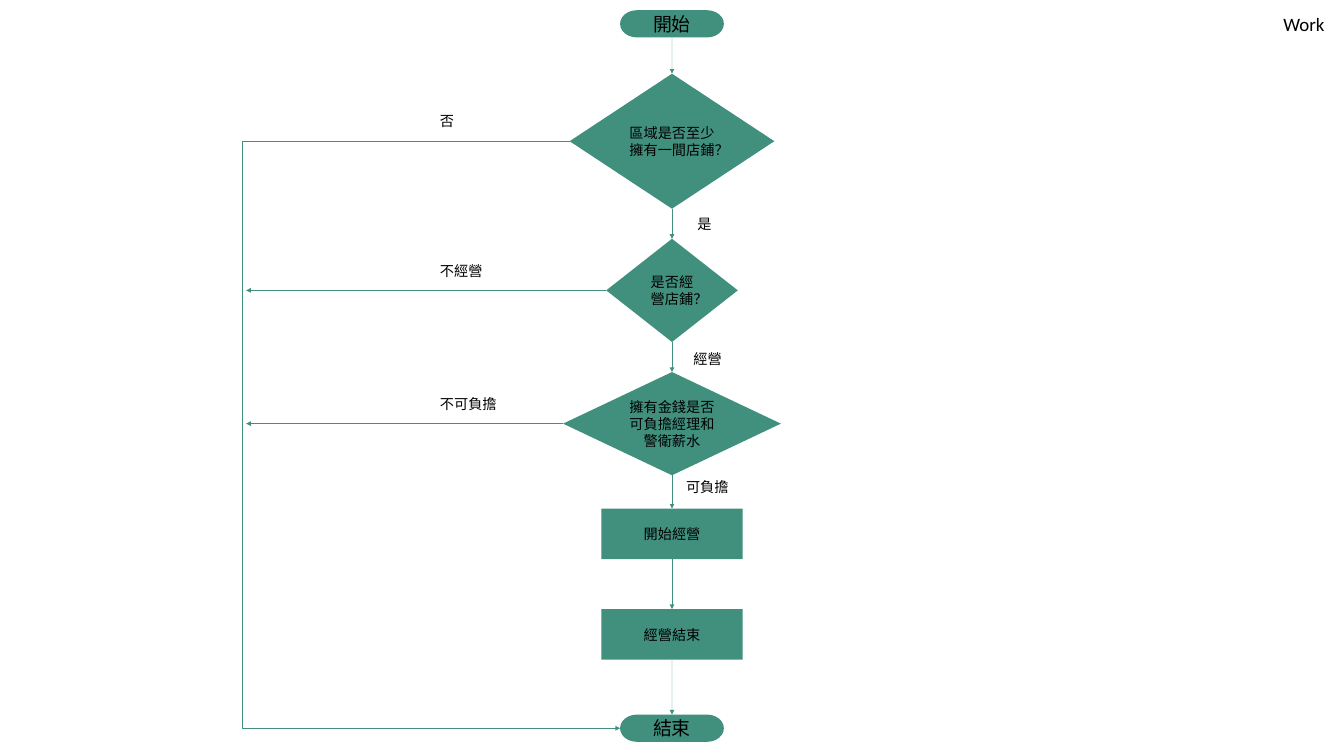
import pptx
import pptx.util
import pptx.dml.color
import pptx.enum.shapes
import pptx.enum.text
import pptx.oxml.ns
import lxml.etree

Inches = pptx.util.Inches
Pt = pptx.util.Pt
RGBColor = pptx.dml.color.RGBColor
SHAPE = pptx.enum.shapes.MSO_SHAPE
CONNECTOR = pptx.enum.shapes.MSO_CONNECTOR
ALIGN = pptx.enum.text.PP_ALIGN
ANCHOR = pptx.enum.text.MSO_ANCHOR
AUTO = pptx.enum.text.MSO_AUTO_SIZE
qn = pptx.oxml.ns.qn

GREEN = RGBColor(0x41, 0x90, 0x7E)
BLACK = RGBColor(0, 0, 0)
CJK_FONT = "Noto Sans CJK SC"
TOP, LEFT, BOTTOM = 0, 1, 2

SLIDE_SIZE = (23.7, 13.33)
CENTER_X = 11.85
RETURN_X = 4.27
ARROW_STOP_X = 4.34

TITLE = ("Work", 22.53, 0.17, 0.93, 0.5)

TERMINATOR = {"kind": SHAPE.FLOWCHART_TERMINATOR, "size": 24, "insets": (0.06, 0.03)}
DECISION = {"kind": SHAPE.FLOWCHART_DECISION, "size": 18, "insets": (0.1, 0.05)}
PROCESS = {"kind": SHAPE.RECTANGLE, "size": 18, "insets": (0.1, 0.05)}

STEPS = [
    ("開始", TERMINATOR, 0.18, 1.83, 0.48),
    ("區域是否至少擁有一間店鋪？", DECISION, 1.3, 3.61, 2.38),
    ("是否經營店鋪？", DECISION, 4.21, 2.32, 1.82),
    ("擁有金錢是否可負擔經理和警衛薪水", DECISION, 6.56, 3.84, 1.82),
    ("開始經營", PROCESS, 8.97, 2.49, 0.89),
    ("經營結束", PROCESS, 10.74, 2.49, 0.89),
    ("結束", TERMINATOR, 12.6, 1.83, 0.48),
]

LABELS = [
    ("否", 7.66, 1.93, 0.45),
    ("不經營", 7.66, 4.58, 0.96),
    ("不可負擔", 7.66, 6.93, 1.21),
    ("是", 12.2, 3.74, 0.45),
    ("經營", 12.13, 6.13, 0.71),
    ("可負擔", 12, 8.38, 0.96),
]
LABEL_HEIGHT = 0.4


def apply(target, values):
    for name, value in values.items():
        setattr(target, name, value)


def write(shape, text, size, font, align, frame_format):
    frame = shape.text_frame
    apply(frame, frame_format)
    para = frame.paragraphs[0]
    para.alignment = align
    span = para.add_run()
    span.text = text
    apply(span.font, {"size": Pt(size), "name": font, "bold": False})
    span.font.color.rgb = BLACK
    east_asian = lxml.etree.SubElement(span.font._element, qn("a:ea"))
    east_asian.set("typeface", font)


def add_step(page, text, style, top, width, height):
    shape = page.shapes.add_shape(
        style["kind"], Inches(CENTER_X - width / 2), Inches(top), Inches(width), Inches(height))
    shape.shadow.inherit = False
    shape.fill.solid()
    shape.fill.fore_color.rgb = GREEN
    shape.line.fill.background()
    side, edge = (Inches(inset) for inset in style["insets"])
    write(shape, text, style["size"], CJK_FONT, ALIGN.CENTER, {
        "word_wrap": True, "vertical_anchor": ANCHOR.MIDDLE,
        "margin_left": side, "margin_right": side, "margin_top": edge, "margin_bottom": edge})
    return shape


def add_arrow(page, kind, source, source_side, target=None, target_side=None, stop=(0, 0)):
    arrow = page.shapes.add_connector(kind, 0, 0, *stop)
    arrow.begin_connect(source, source_side)
    if target is None:
        arrow.end_x, arrow.end_y = stop
    else:
        arrow.end_connect(target, target_side)
    arrow.line.color.rgb = GREEN
    arrow.line.width = Pt(0.5)
    lxml.etree.SubElement(arrow.line._get_or_add_ln(), qn("a:tailEnd")).set("type", "triangle")
    lxml.etree.SubElement(arrow._element.spPr, qn("a:effectLst"))
    return arrow


def add_return_path(page, source, target):
    arrow = add_arrow(page, CONNECTOR.ELBOW, source, LEFT, target, LEFT)
    ratio = (Inches(RETURN_X) - source.left) / (target.left - source.left)
    adjustments = arrow._element.spPr.find(qn("a:prstGeom")).find(qn("a:avLst"))
    guide = lxml.etree.SubElement(adjustments, qn("a:gd"))
    guide.set("name", "adj1")
    guide.set("fmla", f"val {round(ratio * 100000)}")


def main():
    deck = pptx.Presentation()
    deck.slide_width, deck.slide_height = (Inches(length) for length in SLIDE_SIZE)
    page = deck.slides.add_slide(deck.slide_layouts[5])
    plain_text = {"word_wrap": False, "vertical_anchor": ANCHOR.TOP,
                  "auto_size": AUTO.SHAPE_TO_FIT_TEXT}

    text, *place = TITLE
    title = page.shapes.title
    apply(title, dict(zip(("left", "top", "width", "height"), map(Inches, place))))
    write(title, text, 24, "Calibri", ALIGN.LEFT, plain_text)

    steps = [add_step(page, *step) for step in STEPS]
    for upper, lower in zip(steps, steps[1:]):
        add_arrow(page, CONNECTOR.STRAIGHT, upper, BOTTOM, lower, TOP)

    first, *others = [shape for shape, step in zip(steps, STEPS) if step[1] is DECISION]
    add_return_path(page, first, steps[-1])
    for decision in others:
        middle = decision.top + decision.height // 2
        add_arrow(page, CONNECTOR.STRAIGHT, decision, LEFT, stop=(Inches(ARROW_STOP_X), middle))

    for text, left, top, width in LABELS:
        box = page.shapes.add_textbox(*map(Inches, (left, top, width, LABEL_HEIGHT)))
        write(box, text, 18, CJK_FONT, ALIGN.LEFT, plain_text)

    deck.save("out.pptx")


if __name__ == "__main__":
    main()
